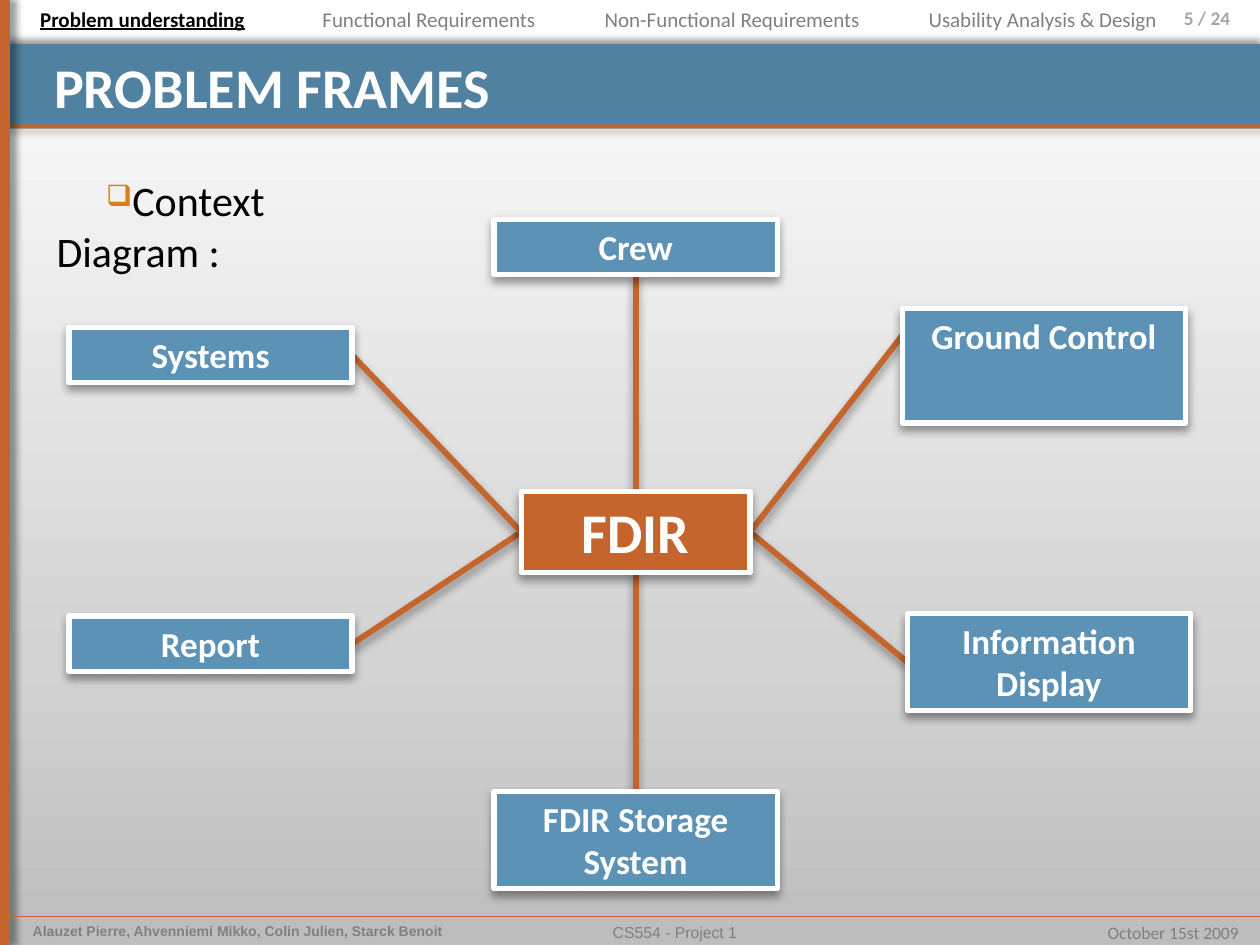
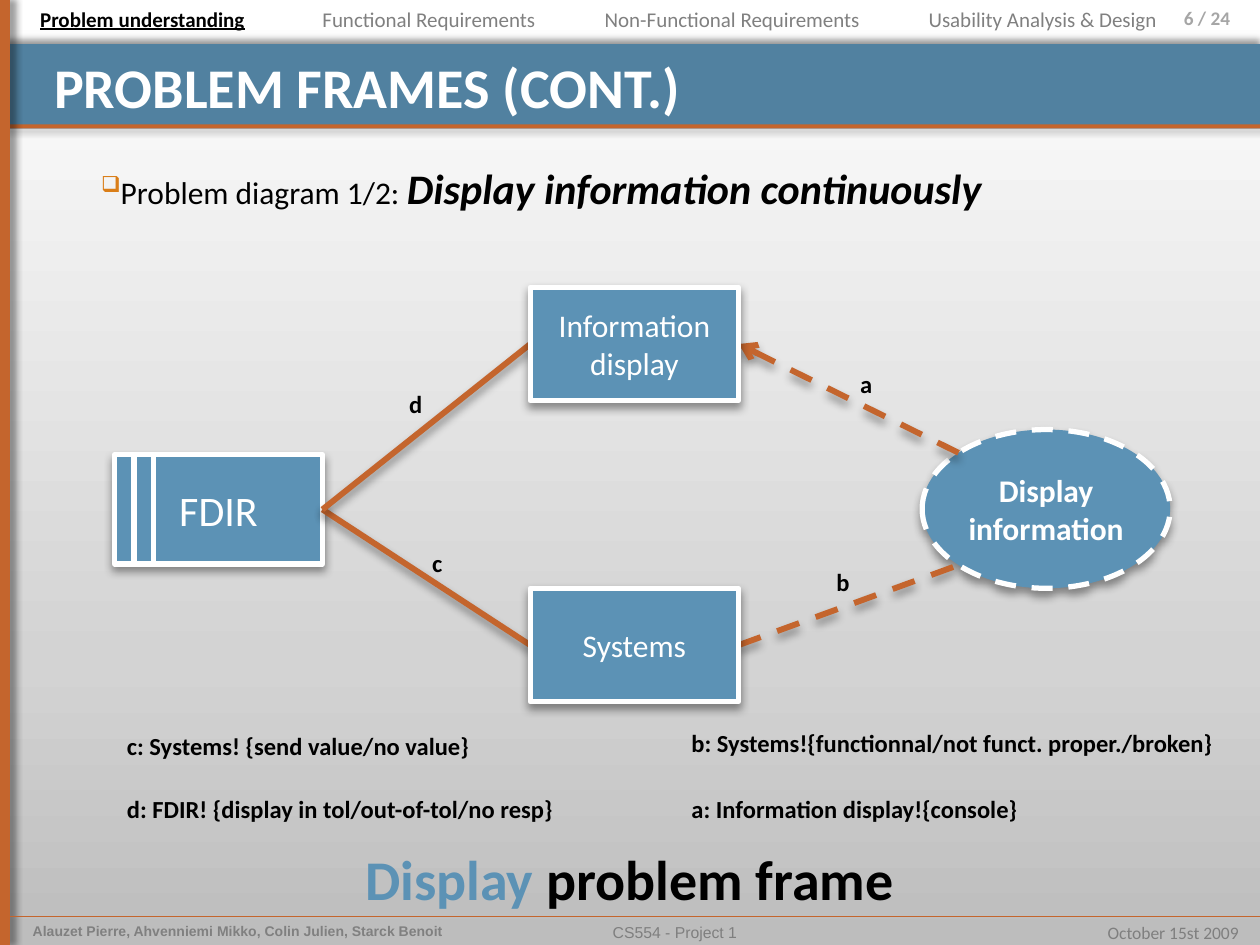
from lxml.etree import SubElement
from pptx import Presentation
from pptx.dml.color import RGBColor
from pptx.enum.dml import MSO_LINE
from pptx.enum.shapes import MSO_CONNECTOR, MSO_SHAPE
from pptx.enum.text import MSO_ANCHOR, PP_ALIGN
from pptx.oxml.ns import qn
from pptx.util import Cm, Pt

# ---- Content: all lengths are centimetres ----
BLUE, ORANGE, BAND = "5C92B5", "C4652D", "5181A0"
WHITE, BLACK, GREY, FOOTER_GREY = "FFFFFF", "000000", "808080", "7F7F7F"
BACKGROUND = [(0, "BDBDBD"), (30, "D3D3D3"), (100, WHITE)]
WIDTH, HEIGHT = 25.4, 19.05
FOOTER_TOP, BAR_WIDTH = 18.47, 0.2
LINK_WIDTH, BORDER_WIDTH = 3.35, 3

SECTIONS = [  # name, left, width
    ("Problem understanding", 0.56, 4.72),
    ("Functional Requirements", 6.25, 4.88),
    ("Non-Functional Requirements", 11.94, 5.72),
    ("Usability Analysis & Design", 18.47, 5.16),
]
CURRENT_SECTION = "Problem understanding"
PAGE_COUNT = 24

HUB = ("FDIR", (10.51, 9.91, 4.61, 1.63))
DOMAINS = [  # name, box, side facing the hub, hub side, drop of the link from the top
    ("Report", (1.39, 12.42, 5.71, 1.12), "right", "left", None),
    ("Systems", (1.39, 6.6, 5.71, 1.12), "right", "left", None),
    ("FDIR Storage System", (9.96, 15.95, 5.71, 1.96), "top", "bottom", None),
    ("Crew", (9.96, 4.42, 5.71, 1.12), "bottom", "top", None),
    ("Information Display", (18.29, 12.37, 5.71, 1.96), "left", "right", None),
    ("Ground Control", (18.19, 6.22, 5.71, 2.31), "left", "right", 0.54),
]

MACHINE = ("FDIR", (2.31, 9.17, 4.19, 2.2))
MACHINE_STRIPES = [0.39, 0.79]
REQUIREMENT = ("Display information", (18.59, 8.66, 5, 3.2))
DISPLAY = ("Information display", (10.69, 5.79, 4.2, 2.29))
SYSTEMS = ("Systems", (10.69, 11.86, 4.2, 2.29))
LINK_LABELS = [("a", 17.09, 7.32), ("b", 16.61, 11.3),
               ("c", 8.46, 10.92), ("d", 8, 7.72)]
LEGEND = [  # text, left, top, width
    ("c: Systems! {send value/no value}", 2.31, 14.61, 7.49),
    ("d: FDIR! {display in tol/out-of-tol/no resp}", 2.31, 15.88, 9.22),
    ("b: Systems!{functionnal/not funct. proper./broken}", 13.69, 14.55, 11.3),
    ("a: Information display!{console}", 13.69, 15.88, 7.26),
]


# ---- Helpers ----
def rgb(hex_color):
    return RGBColor.from_string(hex_color)


def set_font(font, size, color, bold=False, italic=False, underline=False, name="Calibri"):
    font.name, font.size, font.bold = name, Pt(size), bold
    font.italic, font.underline = italic, underline
    font.color.rgb = rgb(color)


def add_bullet(paragraph):
    props = paragraph._p.get_or_add_pPr()
    props.set("marL", "0")
    props.set("indent", str(Cm(1)))
    color = SubElement(props, qn("a:buClr"))
    SubElement(color, qn("a:srgbClr"), val="DA7E18")
    SubElement(props, qn("a:buSzPct"), val="70000")
    SubElement(props, qn("a:buChar"), char="❑")


def write(shape, text, size, color=BLACK, align=PP_ALIGN.LEFT, anchor=MSO_ANCHOR.TOP,
          wrap=True, bullet=False, **style):
    """Text is one string, or a list of (string, font settings) pairs."""
    frame = shape.text_frame
    frame.word_wrap, frame.vertical_anchor = wrap, anchor
    paragraph = frame.paragraphs[0]
    paragraph.alignment = align
    if bullet:
        add_bullet(paragraph)
    if isinstance(text, str):
        paragraph.text = text
        set_font(paragraph.font, size, color, **style)
        return
    for words, changes in text:
        run = paragraph.add_run()
        run.text = words
        set_font(run.font, **{"size": size, "color": color, **style, **changes})


def add_text(slide, box, text, size, color=BLACK, **options):
    label = slide.shapes.add_textbox(*map(Cm, box))
    write(label, text, size, color, **options)
    return label


def add_shadow(shape, blur=5.2, angle=90):
    effects = shape.element.spPr.find(qn("a:effectLst"))
    if effects is None:
        effects = SubElement(shape.element.spPr, qn("a:effectLst"))
    if blur:
        shadow = SubElement(effects, qn("a:outerShdw"), blurRad=str(Pt(blur)),
                            dist=str(Pt(3)), dir=str(angle * 60000), rotWithShape="0")
        color = SubElement(shadow, qn("a:srgbClr"), val=BLACK)
        SubElement(color, qn("a:alpha"), val="40000")


def add_block(slide, box, fill, kind=MSO_SHAPE.RECTANGLE, border=None, blur=5.2, angle=90):
    block = slide.shapes.add_shape(kind, *map(Cm, box))
    block.fill.solid()
    block.fill.fore_color.rgb = rgb(fill)
    if border:
        block.line.color.rgb = rgb(border)
        block.line.width = Pt(BORDER_WIDTH)
    else:
        block.line.fill.background()
    block.shadow.inherit = False
    add_shadow(block, blur, angle)
    return block


def add_node(slide, name, box, size, fill=BLUE, **options):
    node = add_block(slide, box, fill, border=WHITE)
    write(node, name, size, WHITE, align=PP_ALIGN.CENTER, **options)


def add_line(slide, start, end, color=ORANGE, width=LINK_WIDTH, dashed=False,
             arrow=False, blur=5.2, angle=90):
    line = slide.shapes.add_connector(MSO_CONNECTOR.STRAIGHT, *map(Cm, (*start, *end)))
    line.line.color.rgb = rgb(color)
    line.line.width = Pt(width)
    if dashed:
        line.line.dash_style = MSO_LINE.DASH
    if arrow:
        SubElement(line.line._ln, qn("a:tailEnd"), type="arrow")
    add_shadow(line, blur, angle)


def side_point(box, side, drop=None):
    left, top, width, height = box
    across, down = {"left": (0, 0.5), "right": (1, 0.5),
                    "top": (0.5, 0), "bottom": (0.5, 1)}[side]
    return left + across * width, top + (down * height if drop is None else drop)


# ---- Shared frame of the slides ----
def add_page(deck, title, number):
    slide = deck.slides.add_slide(deck.slide_layouts[6])
    fill = slide.background.fill
    fill.gradient()
    fill.gradient_angle = 90
    stops = slide.element.find(".//" + qn("a:gsLst"))
    for stop in list(stops):
        stops.remove(stop)
    for position, color in BACKGROUND:
        stop = SubElement(stops, qn("a:gs"), pos=str(position * 1000))
        SubElement(stop, qn("a:srgbClr"), val=color)

    # Title band, its orange edge and the side bar
    add_block(slide, (0, 0.89, WIDTH, 1.7), BAND, blur=4, angle=270)
    add_block(slide, (0, 2.51, WIDTH, 0.08), ORANGE, blur=4, angle=45)
    add_block(slide, (0, 0, BAR_WIDTH, HEIGHT), ORANGE, blur=4, angle=0)
    add_text(slide, (0.84, 0.93, 23.57, 1.47), title, 32, WHITE, bold=True)

    # Section names and page number
    for section, left, width in SECTIONS:
        current = section == CURRENT_SECTION
        add_text(slide, (left, 0, width, 0.76), section, 12, BLACK if current else GREY,
                 wrap=False, bold=current, underline=current)
    page = add_text(slide, (22.43, 0, 2.97, 0.99), f"{number} / {PAGE_COUNT}", 11, "A6A6A6",
                    align=PP_ALIGN.RIGHT, bold=True)
    page.text_frame.margin_right = Cm(0.6)

    # Footer
    add_line(slide, (BAR_WIDTH, FOOTER_TOP), (WIDTH, FOOTER_TOP), width=0.25,
             blur=4, angle=45)
    add_text(slide, (0.41, FOOTER_TOP, 9.32, 0.58),
             "Alauzet Pierre, Ahvenniemi Mikko, Colin Julien, Starck Benoit", 8, GREY,
             bold=True, name="Arial")
    add_text(slide, (5.77, FOOTER_TOP, 15.67, 0.58), "CS554 - Project 1", 9, FOOTER_GREY,
             align=PP_ALIGN.CENTER, name="Arial")
    add_text(slide, (22.02, FOOTER_TOP, 3.2, 0.69), "October 15st 2009", 10, FOOTER_GREY,
             align=PP_ALIGN.RIGHT, wrap=False)
    return slide


# ---- Slides ----
def add_context_diagram(deck):
    slide = add_page(deck, "PROBLEM FRAMES", 5)
    add_text(slide, (0.89, 3.4, 8, 1.32), "Context Diagram :", 24, bullet=True)
    hub_name, hub_box = HUB
    for _, box, side, hub_side, drop in DOMAINS:
        add_line(slide, side_point(box, side, drop), side_point(hub_box, hub_side))
    for name, box, *_ in DOMAINS:
        add_node(slide, name, box, 20, bold=True)
    add_node(slide, hub_name, hub_box, 32, ORANGE, bold=True)


def add_problem_diagram(deck):
    slide = add_page(deck, "PROBLEM FRAMES (CONT.)", 6)
    add_text(slide, (0.79, 3.15, 24, 15.14), [
        ("Problem diagram 1/2: ", {}),
        ("Display information continuously", {"size": 24, "bold": True, "italic": True}),
    ], 18, bullet=True)

    # Machine with its two stripes
    name, machine_box = MACHINE
    add_node(slide, name, machine_box, 24, anchor=MSO_ANCHOR.MIDDLE)
    left, top, _, height = machine_box
    for offset in MACHINE_STRIPES:
        add_line(slide, (left + offset, top), (left + offset, top + height), WHITE,
                 BORDER_WIDTH, blur=0)

    # Requirement
    name, box = REQUIREMENT
    oval = add_block(slide, box, BLUE, MSO_SHAPE.OVAL, WHITE)
    oval.line.dash_style = MSO_LINE.DASH
    oval.text_frame.margin_left = oval.text_frame.margin_right = 0
    write(oval, name, 18, WHITE, PP_ALIGN.CENTER, MSO_ANCHOR.MIDDLE, bold=True)

    # Links: the requirement's ends lie on its outline at 45 degrees
    left, top, width, height = box
    inset = (1 - 0.5 ** 0.5) / 2
    upper = left + inset * width, top + inset * height
    lower = left + inset * width, top + (1 - inset) * height
    add_line(slide, upper, side_point(DISPLAY[1], "right"), dashed=True, arrow=True)
    add_line(slide, side_point(SYSTEMS[1], "right"), lower, dashed=True)
    for name, box in (SYSTEMS, DISPLAY):
        add_line(slide, side_point(machine_box, "right"), side_point(box, "left"))
        add_node(slide, name, box, 18, anchor=MSO_ANCHOR.MIDDLE)

    # Link labels, legend and caption
    labels = [(text, left, top, 0.87) for text, left, top in LINK_LABELS]
    for text, left, top, width in labels + LEGEND:
        add_text(slide, (left, top, width, 0.86), text, 14, wrap=False, bold=True)
    add_text(slide, (7.11, 16.89, 11.58, 1.63),
             [("Display ", {"color": BLUE}), ("problem frame", {})], 32,
             wrap=False, bold=True)


def main():
    deck = Presentation()
    deck.slide_width, deck.slide_height = Cm(WIDTH), Cm(HEIGHT)
    add_context_diagram(deck)
    add_problem_diagram(deck)
    deck.save("out.pptx")


if __name__ == "__main__":
    main()
